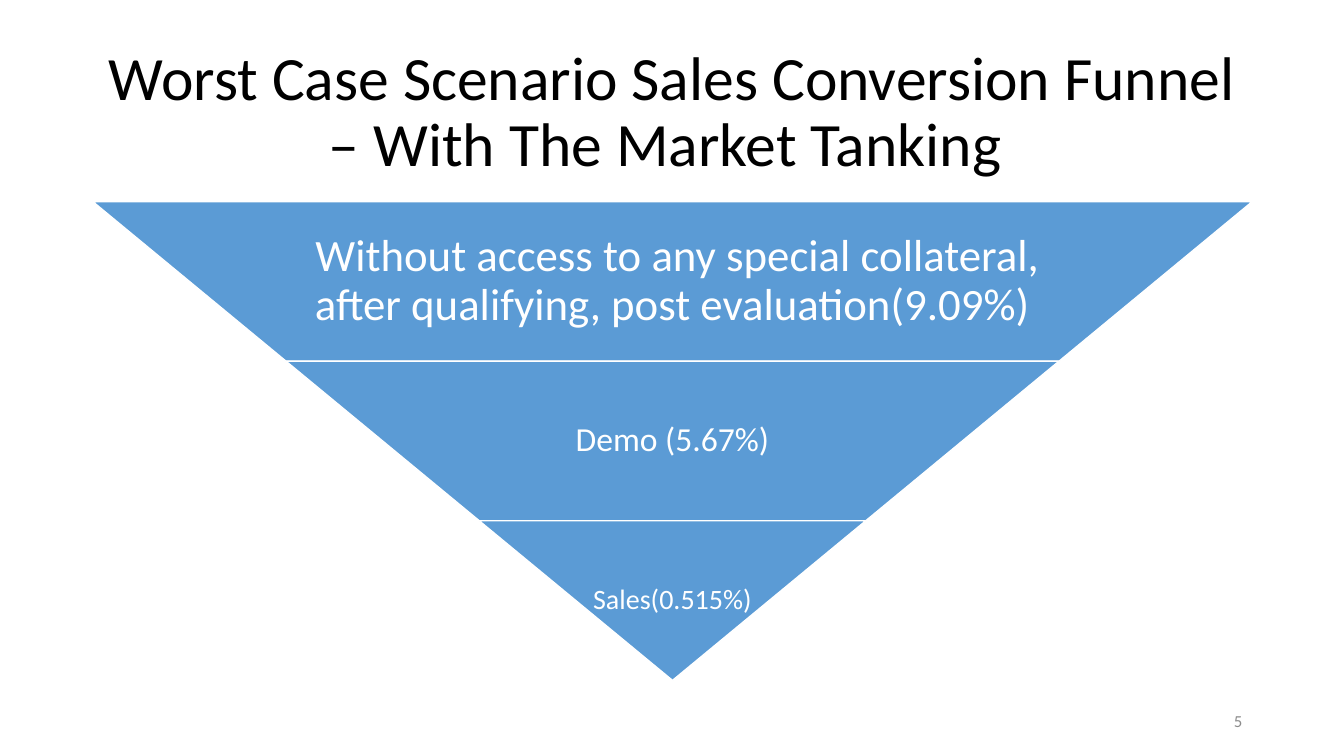
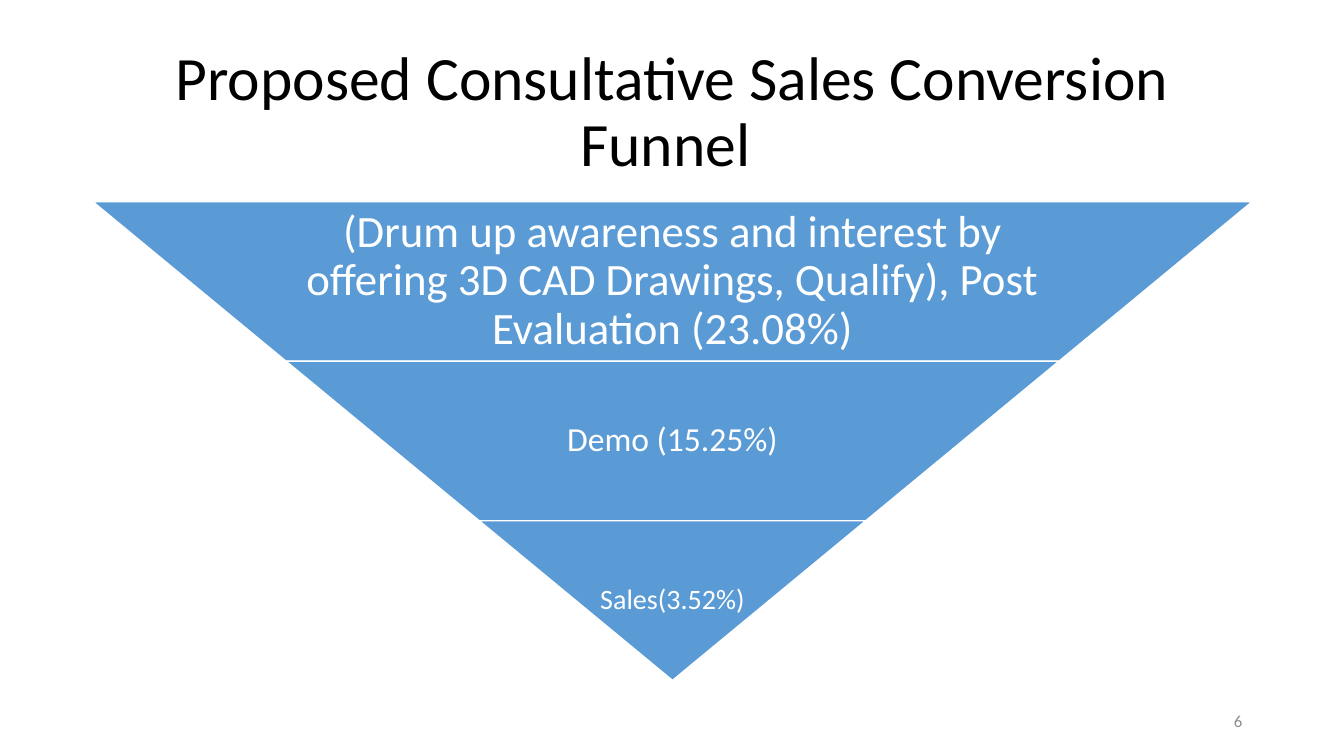
from pptx import Presentation
from pptx import util as u
from pptx.dml import color
from pptx.enum import shapes, text

COLORS = {"title": "000000", "band": "5B9BD5", "light": "FFFFFF", "number": "8C8C8C"}
FONT = "Calibri"
LEFT, WIDTH = 0.92, 11.5
FUNNEL_TOP, FUNNEL_HEIGHT = 2, 4.75
LABEL_STYLES = [(32, 0.65, 0.04), (24, 0.65, 0.03), (20, 1, 0.03)]

SLIDES = [
    (5, "Worst Case Scenario Sales Conversion Funnel – With The Market Tanking ",
     [" Without access to any special collateral, after qualifying, post evaluation(9.09%)",
      "Demo (5.67%)", "Sales(0.515%)"]),
    (6, "Proposed Consultative Sales Conversion Funnel ",
     ["(Drum up awareness and interest by offering 3D CAD Drawings, Qualify), Post Evaluation (23.08%)",
      "Demo (15.25%)", "Sales(3.52%)"]),
]


def rgb(name):
    return color.RGBColor.from_string(COLORS[name])


class Deck:
    def __init__(self):
        self.prs = Presentation()
        self.prs.slide_width = u.Inches(13.33)
        self.prs.slide_height = u.Inches(7.5)
        self.s = None

    def add_slide(self):
        self.s = self.prs.slides.add_slide(self.prs.slide_layouts[5])

    def set_text(self, sp, words, size, ink, align=text.PP_ALIGN.CENTER, spacing=0.9, inset=None):
        tf = sp.text_frame
        tf.word_wrap = True
        tf.auto_size = text.MSO_AUTO_SIZE.NONE
        tf.vertical_anchor = text.MSO_ANCHOR.MIDDLE
        if inset is not None:
            tf.margin_left = tf.margin_right = u.Inches(inset)
            tf.margin_top = tf.margin_bottom = u.Inches(inset)
        p = tf.paragraphs[0]
        p.text = words
        p.alignment = align
        p.line_spacing = spacing
        p.font.name = FONT
        p.font.size = u.Pt(size)
        p.font.color.rgb = rgb(ink)

    def title(self, words):
        sp = self.s.shapes.title
        sp.left, sp.top = u.Inches(LEFT), u.Inches(0.4)
        sp.width, sp.height = u.Inches(WIDTH), u.Inches(1.45)
        self.set_text(sp, words, 44, "title")

    def text_box(self, left, top, width, height, words, size, ink, **style):
        sp = self.s.shapes.add_textbox(
            u.Inches(left), u.Inches(top), u.Inches(width), u.Inches(height))
        self.set_text(sp, words, size, ink, **style)

    def band(self, left, top, width, height, slant):
        sp = self.s.shapes.add_shape(
            shapes.MSO_SHAPE.TRAPEZOID,
            u.Inches(left), u.Inches(top), u.Inches(width), u.Inches(height))
        sp.adjustments[0] = slant / height
        sp.rotation = 180
        sp.shadow.inherit = False
        sp.fill.solid()
        sp.fill.fore_color.rgb = rgb("band")
        sp.line.color.rgb = rgb("light")
        sp.line.width = u.Pt(1)

    def funnel(self, labels):
        count = len(labels)
        height = FUNNEL_HEIGHT / count
        slant = WIDTH / (2 * count)
        for i, (label, (size, share, inset)) in enumerate(zip(labels, LABEL_STYLES)):
            left, top = LEFT + i * slant, FUNNEL_TOP + i * height
            width = WIDTH - 2 * i * slant
            self.band(left, top, width, height, slant)
            self.text_box(left + width * (1 - share) / 2, top, width * share, height,
                          label, size, "light", inset=inset)

    def number(self, value):
        self.text_box(LEFT + WIDTH - 3, 6.95, 3, 0.4, str(value), 12, "number",
                      align=text.PP_ALIGN.RIGHT, spacing=1.0)


def main():
    deck = Deck()
    for number, title, labels in SLIDES:
        deck.add_slide()
        deck.title(title)
        deck.funnel(labels)
        deck.number(number)
    deck.prs.save("out.pptx")


if __name__ == "__main__":
    main()
